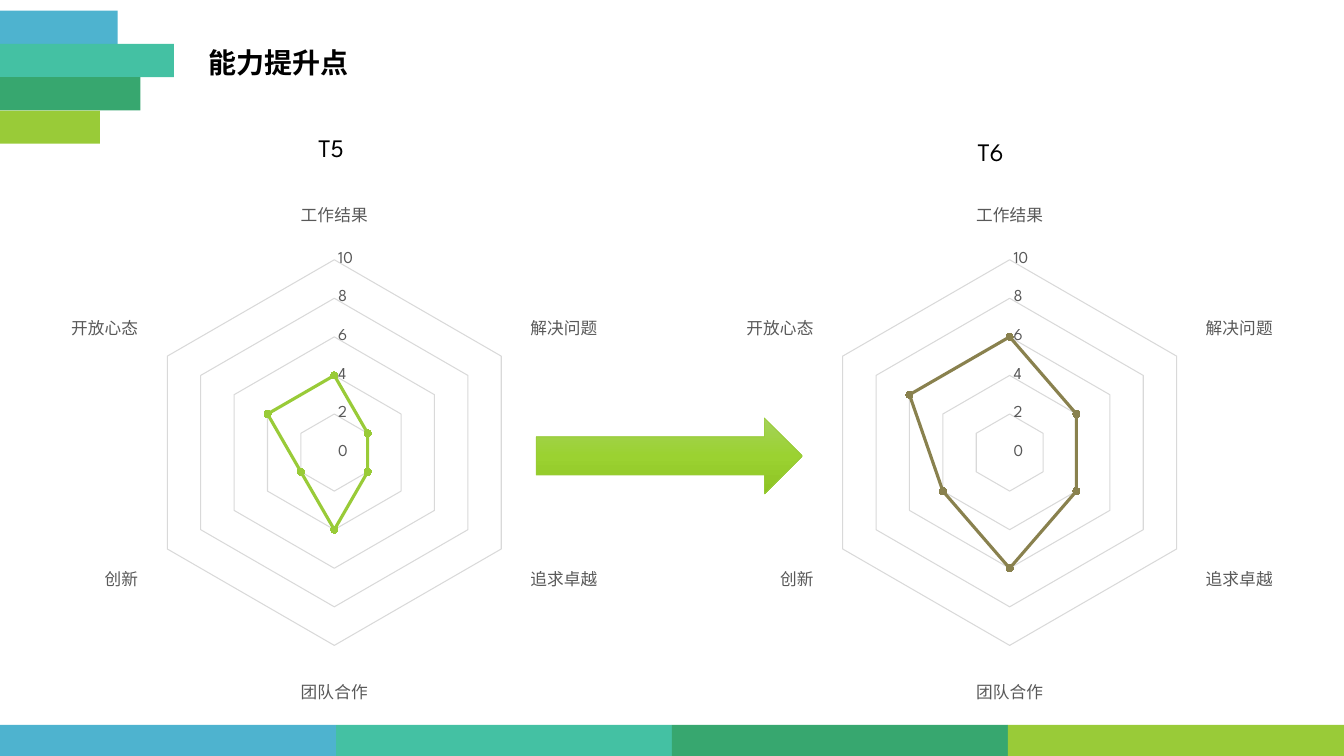
from copy import deepcopy

from pptx import Presentation
from pptx.chart.data import CategoryChartData
from pptx.dml.color import RGBColor
from pptx.enum.chart import XL_CHART_TYPE as ChartType, XL_MARKER_STYLE as Marker, XL_TICK_MARK as Tick
from pptx.enum.shapes import MSO_SHAPE as Shape
from pptx.enum.text import MSO_ANCHOR as Anchor, PP_ALIGN as Align
from pptx.oxml.ns import qn
from pptx.util import Inches, Pt

BLACK = RGBColor(0x00, 0x00, 0x00)
WHITE = RGBColor(0xFF, 0xFF, 0xFF)
GREY = RGBColor(0x59, 0x59, 0x59)
GRID_GREY = RGBColor(0xD9, 0xD9, 0xD9)
BLUE = RGBColor(0x4E, 0xB3, 0xCF)
TEAL = RGBColor(0x44, 0xC1, 0xA3)
GREEN = RGBColor(0x37, 0xA7, 0x6F)
LIME = RGBColor(0x99, 0xCB, 0x38)
OLIVE = RGBColor(0x89, 0x81, 0x4E)
ARROW_STOPS = [
    (0, RGBColor(0xA4, 0xD2, 0x5A)),
    (0.5, RGBColor(0x9B, 0xD2, 0x31)),
    (1, RGBColor(0x8D, 0xC3, 0x23)),
]

COLUMNS, ROWS = 40, 22.5
CELL = Inches(1) / 3
FOOTER_TOP = 21.57
LATIN_FONT = "League Spartan"
CHINESE_FONT = "Noto Sans CJK SC"
ABILITIES = ["工作结果", "解决问题", "追求卓越", "团队合作", "创新", "开放心态"]


def write(frame, text, size, font=LATIN_FONT, bold=False, color=BLACK, anchor=Anchor.TOP):
    frame.word_wrap = True
    frame.vertical_anchor = anchor
    paragraph = frame.paragraphs[0]
    paragraph.alignment = Align.LEFT
    run = paragraph.add_run()
    run.text = text
    run.font.size, run.font.bold, run.font.name = Pt(size), bold, font
    run.font.color.rgb = color
    properties = run.font._element
    east_asian = properties.makeelement(qn("a:ea"), {"typeface": CHINESE_FONT})
    properties.find(qn("a:latin")).addnext(east_asian)
    return paragraph


def style_line(line, color, width):
    line.color.rgb = color
    line.width = Pt(width)


class GridSlide:
    """Holds the slide; every box is (left, top, width, height) in grid cells."""

    def __init__(self, presentation):
        self.slide = presentation.slides.add_slide(presentation.slide_layouts[5])
        self.shapes = self.slide.shapes
        background = self.slide.background.fill
        background.solid()
        background.fore_color.rgb = WHITE

    def place(self, *box):
        return [round(cells * CELL) for cells in box]

    def title(self, text, *box):
        title = self.shapes.title
        title.left, title.top, title.width, title.height = self.place(*box)
        paragraph = write(title.text_frame, text, 20, font=CHINESE_FONT, bold=True, anchor=Anchor.MIDDLE)
        paragraph.line_spacing = 0.9
        paragraph.space_before = Pt(10)

    def label(self, text, *box):
        write(self.shapes.add_textbox(*self.place(*box)).text_frame, text, 18)

    def bar(self, color, *box):
        bar = self.shapes.add_shape(Shape.RECTANGLE, *self.place(*box))
        bar.shadow.inherit = False
        bar.fill.solid()
        bar.fill.fore_color.rgb = color
        bar.line.fill.background()

    def arrow(self, *box):
        arrow = self.shapes.add_shape(Shape.RIGHT_ARROW, *self.place(*box))
        arrow.shadow.inherit = False
        style_line(arrow.line, LIME, 0.5)
        arrow.fill.gradient()
        arrow.fill.gradient_angle = 270
        first = arrow.fill.gradient_stops[0]._gs
        first.addnext(deepcopy(first))
        for stop, (position, color) in zip(arrow.fill.gradient_stops, ARROW_STOPS):
            stop.position = position
            stop.color.rgb = color

    def radar(self, values, color, *box):
        data = CategoryChartData()
        data.categories = ABILITIES
        data.add_series("Series 1", values)
        chart = self.shapes.add_chart(ChartType.RADAR_MARKERS, *self.place(*box), data).chart
        chart.has_legend = False
        chart.has_title = False
        chart.font.size, chart.font.name = Pt(10), LATIN_FONT
        chart.font.color.rgb = BLACK
        plot = chart.plots[0]
        plot.vary_by_categories = False

        scale = chart.value_axis
        scale.minimum_scale, scale.maximum_scale, scale.major_unit = 0, 10, 2
        scale.format.line.fill.background()
        style_line(scale.major_gridlines.format.line, GRID_GREY, 0.75)
        style_line(chart.category_axis.format.line, GRID_GREY, 0.75)
        for axis in (scale, chart.category_axis):
            axis.major_tick_mark = axis.minor_tick_mark = Tick.NONE
            font = axis.tick_labels.font
            font.size, font.name = Pt(11.9), LATIN_FONT
            font.color.rgb = GREY

        series = plot.series[0]
        style_line(series.format.line, color, 2.25)
        series.marker.style, series.marker.size = Marker.CIRCLE, 5
        series.marker.format.fill.solid()
        series.marker.format.fill.fore_color.rgb = color
        series.marker.format.line.fill.background()


def main():
    presentation = Presentation()
    presentation.slide_width = round(COLUMNS * CELL)
    presentation.slide_height = round(ROWS * CELL)
    page = GridSlide(presentation)

    stripes = [(BLUE, 3.5), (TEAL, 5.18), (GREEN, 4.18), (LIME, 2.97)]
    footer_width = COLUMNS / len(stripes)
    for index, (color, width) in enumerate(stripes):
        page.bar(color, 0, 0.32 + index * 0.99, width, 0.99)
        page.bar(color, index * footer_width, FOOTER_TOP, footer_width, ROWS - FOOTER_TOP)

    page.title("能力提升点", 5.9, 1.05, 14.65, 1.75)
    page.radar([4, 2, 2, 4, 2, 4], LIME, 0, 5.67, 19.9, 15.6)
    page.radar([6, 4, 4, 6, 4, 6], OLIVE, 20.1, 5.67, 19.9, 15.6)
    page.arrow(15.96, 12.44, 7.92, 2.26)
    page.label("T5", 9.18, 3.78, 5.08, 1.2)
    page.label("T6", 28.8, 3.9, 4.15, 2.13)
    presentation.save("out.pptx")


if __name__ == "__main__":
    main()
